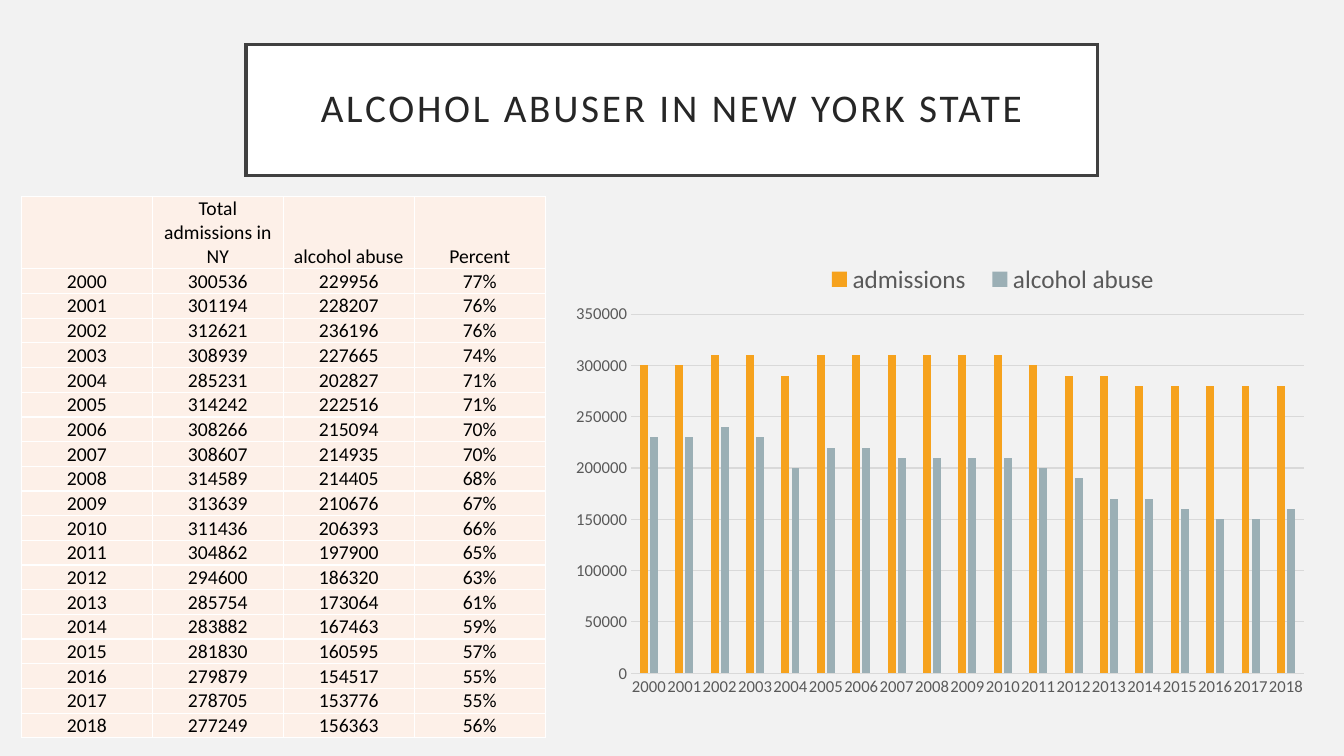
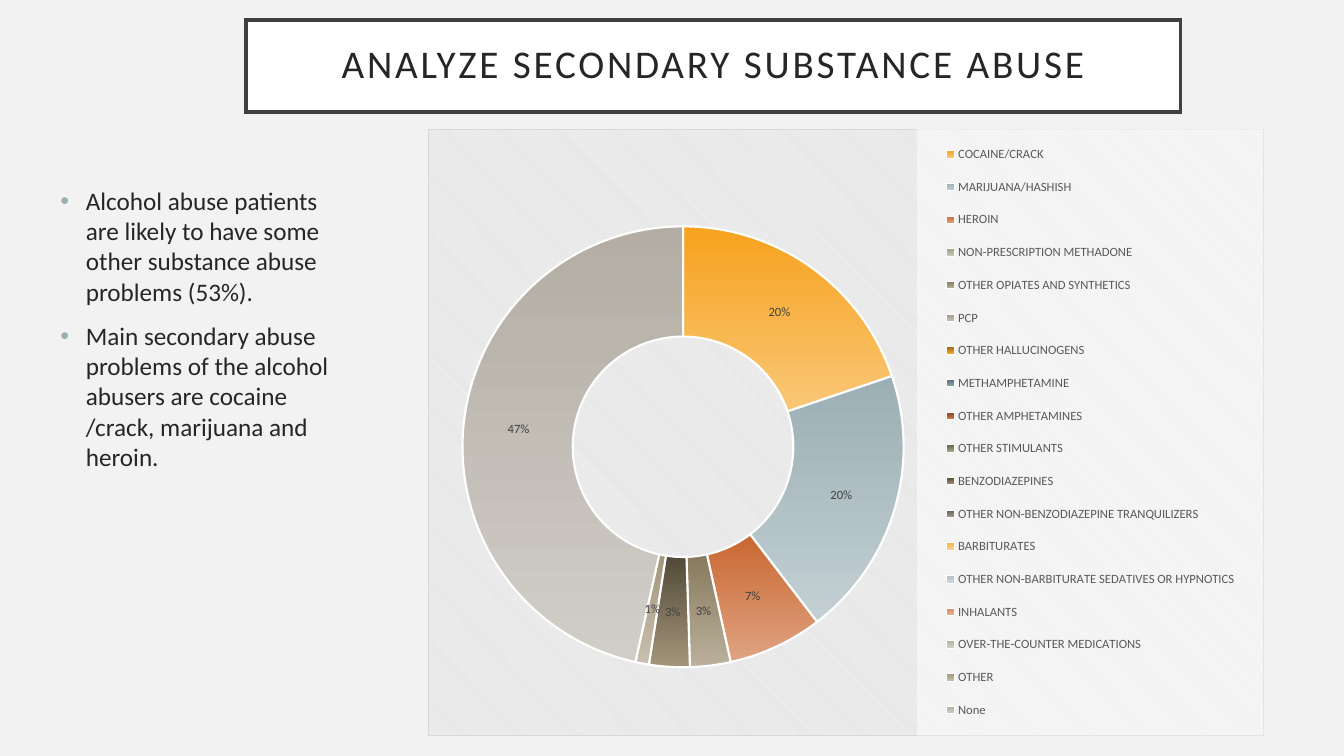
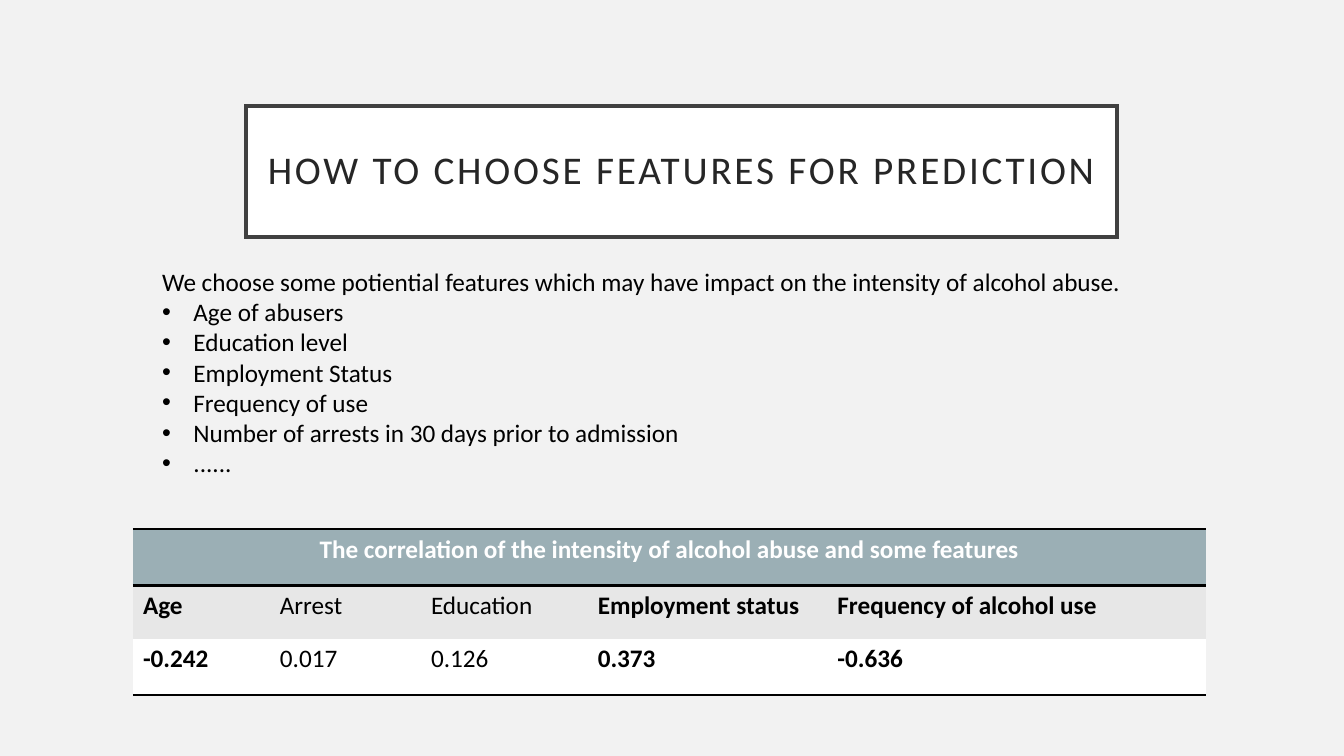
from lxml.etree import SubElement
from pptx import Presentation
from pptx.chart.data import CategoryChartData
from pptx.dml.color import RGBColor
from pptx.enum.chart import XL_CHART_TYPE, XL_LEGEND_POSITION, XL_TICK_MARK
from pptx.enum.text import MSO_ANCHOR, MSO_AUTO_SIZE, PP_ALIGN
from pptx.oxml import parse_xml
from pptx.oxml.ns import nsdecls, qn
from pptx.util import Cm, Pt

FONT = "Calibri"
INK = {
    "page": "F2F2F2", "white": "FFFFFF", "black": "000000", "frame": "404040",
    "text": "262626", "chart": "595959", "rule": "D9D9D9", "peach": "FDF0E8",
    "amber": "F6A21D", "steel": "9BAFB5", "band": "E7E7E7", "pale": "E6E6E6",
}
PLAIN = "{2D5ABB26-0587-4C30-8999-92F81FD0307C}"

COUNTS = {
    2000: (300536, 229956), 2001: (301194, 228207), 2002: (312621, 236196),
    2003: (308939, 227665), 2004: (285231, 202827), 2005: (314242, 222516),
    2006: (308266, 215094), 2007: (308607, 214935), 2008: (314589, 214405),
    2009: (313639, 210676), 2010: (311436, 206393), 2011: (304862, 197900),
    2012: (294600, 186320), 2013: (285754, 173064), 2014: (283882, 167463),
    2015: (281830, 160595), 2016: (279879, 154517), 2017: (278705, 153776),
    2018: (277249, 156363),
}
# Substance, share in percent, first and last colour of the slice
DRUGS = [
    ("COCAINE/CRACK", 20, "F6A21D", "FAC777"),
    ("MARIJUANA/HASHISH", 20, "9BAFB5", "C3CFD3"),
    ("HEROIN", 7, "C96731", "E0A382"),
    ("NON-PRESCRIPTION METHADONE", 0, "9CA383", "C4C8B5"),
    ("OTHER OPIATES AND SYNTHETICS", 3, "87795D", "BAB09B"),
    ("PCP", 0, "A0988C", "C6C1BA"),
    ("OTHER HALLUCINOGENS", 0, "9F6406", "F7AD38"),
    ("METHAMPHETAMINE", 0, "566D74", "95AAB0"),
    ("OTHER AMPHETAMINES", 0, "793E1D", "D58051"),
    ("OTHER STIMULANTS", 0, "60654B", "A3AA8C"),
    ("BENZODIAZEPINES", 3, "514938", "A4967A"),
    ("OTHER NON-BENZODIAZEPINE TRANQUILIZERS", 0, "635C51", "A59E93"),
    ("BARBITURATES", 0, "F8B54A", "FBD293"),
    ("OTHER NON-BARBITURATE SEDATIVES OR HYPNOTICS", 0, "AFBFC4", "CFD9DB"),
    ("INHALANTS", 0, "D68558", "E7B69B"),
    ("OVER-THE-COUNTER MEDICATIONS", 0, "B0B59C", "CFD3C3"),
    ("OTHER", 1, "A39579", "C8BFAF"),
    ("None", 47, "B3ADA3", "D1CEC8"),
]


def tint(name):
    """Return the colour for a name in INK or for a hex string."""
    return RGBColor.from_string(INK.get(name, name))


def put(obj, vals):
    """Set each attribute of obj from a dict."""
    for key, val in vals.items():
        setattr(obj, key, val)


def place(obj, box):
    """Move and size a shape, in centimetres."""
    put(obj, dict(zip(("left", "top", "width", "height"), map(Cm, box))))


def type_in(font, size, color, bold=False):
    """Format a font."""
    put(font, {"name": FONT, "size": Pt(size), "bold": bold})
    font.color.rgb = tint(color)


def paint(fill, color):
    """Give a solid fill."""
    fill.solid()
    fill.fore_color.rgb = tint(color)


def draw(line, color, width):
    """Give a solid line."""
    paint(line.fill, color)
    line.width = Pt(width)


def edge(cell, sides, color, width):
    """Draw cell borders on the sides named by L, R, T and B."""
    props = cell._tc.get_or_add_tcPr()
    for side in sides:
        line = SubElement(props, qn("a:ln" + side), w=str(Pt(width)))
        fill = SubElement(line, qn("a:solidFill"))
        SubElement(fill, qn("a:srgbClr"), val=INK[color])


def bullet(para, indent, color):
    """Give a paragraph a hanging bullet, or none when indent is 0."""
    props = para._p.get_or_add_pPr()
    props.set("marL", str(Cm(indent)))
    props.set("indent", str(-Cm(indent)))
    if not indent:
        SubElement(props, qn("a:buNone"))
        return
    shade = SubElement(props, qn("a:buClr"))
    SubElement(shade, qn("a:srgbClr"), val=INK[color])
    SubElement(props, qn("a:buFont"), typeface="Arial")
    SubElement(props, qn("a:buChar"), char="\u2022")


def layout(part, spot, index, inner=False):
    """Fix the place of a chart part as shares of the chart."""
    for old in part.findall(qn("c:layout")):
        part.remove(old)
    rules = [("layoutTarget", "inner")] if inner else []
    rules += [("xMode", "edge"), ("yMode", "edge"), *zip("xywh", spot)]
    body = "".join(f'<c:{tag} val="{val}"/>' for tag, val in rules)
    part.insert(index, parse_xml(
        f'<c:layout {nsdecls("c")}><c:manualLayout>{body}'
        "</c:manualLayout></c:layout>"))


class Deck:
    """The shared style and the current slide."""

    def __init__(self):
        """Start a wide deck with a grey page."""
        self.prs = Presentation()
        put(self.prs, {"slide_width": Cm(33.87), "slide_height": Cm(19.05)})
        paint(self.prs.slide_master.background.fill, "page")
        self.slide = None

    def add(self, kind, text, box):
        """Add a slide with a framed title."""
        self.slide = self.prs.slides.add_slide(
            self.prs.slide_layouts.get_by_name(kind))
        title = self.slide.shapes.title
        place(title, box)
        paint(title.fill, "white")
        draw(title.line, "frame", 2.5)
        SubElement(title.element.find(".//" + qn("a:ln")), qn("a:miter"),
                   lim="800000")
        frame = title.text_frame
        put(frame, {"auto_size": MSO_AUTO_SIZE.NONE, "word_wrap": True,
                    "vertical_anchor": MSO_ANCHOR.MIDDLE})
        put(frame, dict.fromkeys(("margin_left", "margin_right", "margin_top",
                                  "margin_bottom"), Cm(0.51)))
        para = frame.paragraphs[0]
        put(para, {"alignment": PP_ALIGN.CENTER, "line_spacing": 0.9})
        run = para.add_run()
        run.text = text
        type_in(run.font, 28, "text")
        run.font._element.set("spc", "200")

    def bullets(self, items, box, indent, ink, dot, gap=0, lead=0):
        """Fill the body with a list; the first lead items have no bullet."""
        body = self.slide.placeholders[1]
        place(body, box)
        frame = body.text_frame
        put(frame, {"auto_size": MSO_AUTO_SIZE.NONE, "word_wrap": True,
                    "vertical_anchor": MSO_ANCHOR.TOP})
        for num, item in enumerate(items):
            para = frame.add_paragraph() if num else frame.paragraphs[0]
            put(para, {"space_before": Pt(gap), "line_spacing": 1.0})
            run = para.add_run()
            run.text = item
            type_in(run.font, 18, ink)
            bullet(para, 0 if num < lead else indent, dot)

    def grid(self, spot, cols, rows):
        """Add a plain table with the given widths and heights."""
        shape = self.slide.shapes.add_table(
            len(rows), len(cols), *map(Cm, spot), Cm(sum(cols)), Cm(sum(rows)))
        for style in shape.element.iter(qn("a:tableStyleId")):
            style.text = PLAIN
        for col, width in zip(shape.table.columns, cols):
            col.width = Cm(width)
        for row, height in zip(shape.table.rows, rows):
            row.height = Cm(height)
        return shape.table

    def cell(self, cell, text, fill, size, ink="black", bold=False,
             align=PP_ALIGN.LEFT):
        """Fill and write one table cell."""
        paint(cell.fill, fill)
        para = cell.text_frame.paragraphs[0]
        para.alignment = align
        if text:
            run = para.add_run()
            run.text = text
            type_in(run.font, size, ink, bold)

    def chart(self, kind, cats, series, box, spot):
        """Add a chart with a fixed plot area."""
        data = CategoryChartData()
        data.categories = cats
        for name, vals in series.items():
            data.add_series(name, vals)
        chart = self.slide.shapes.add_chart(kind, *map(Cm, box), data).chart
        chart.has_title = False
        type_in(chart.font, 10, "black")
        layout(chart.element.find(".//" + qn("c:plotArea")), spot, 0, True)
        return chart

    def legend(self, chart, side, size, spot):
        """Add a legend at a fixed place."""
        chart.has_legend = True
        put(chart.legend, {"position": side, "include_in_layout": False})
        type_in(chart.legend.font, size, "chart")
        part = chart.element.find(".//" + qn("c:legend"))
        layout(part, spot, 1)
        return part


def trend(deck):
    """Build the slide with yearly counts."""
    deck.add("Title Only", "ALCOHOL ABUSER IN NEW YORK STATE",
             (6.2, 1.12, 21.46, 3.3))
    rows = [("", "Total admissions in NY", "alcohol abuse", "Percent")]
    rows += [(str(year), str(total), str(abuse), f"{abuse / total:.0%}")
             for year, (total, abuse) in COUNTS.items()]
    table = deck.grid((0.54, 4.95), [3.3] * 4, [1.66] + [0.62] * len(COUNTS))
    for y, row in enumerate(rows):
        for x, text in enumerate(row):
            cell = table.cell(y, x)
            edge(cell, "LRTB", "white", 1)
            put(cell, {"margin_left": Cm(0.02), "margin_right": Cm(0.02),
                       "margin_top": Cm(0.02), "margin_bottom": 0,
                       "vertical_anchor": MSO_ANCHOR.BOTTOM})
            deck.cell(cell, text, "peach", 14, align=PP_ALIGN.CENTER)

    totals, abuses = ([round(count, -4) for count in counts]
                      for counts in zip(*COUNTS.values()))
    chart = deck.chart(
        XL_CHART_TYPE.COLUMN_CLUSTERED, [str(year) for year in COUNTS],
        {"admissions": totals, "alcohol abuse": abuses},
        (14.1, 5.73, 18.83, 11.89), (0.096, 0.184, 0.9, 0.761))
    deck.legend(chart, XL_LEGEND_POSITION.BOTTOM, 18, (0.34, 0.07, 0.48, 0.08))
    plot = chart.plots[0]
    put(plot, {"gap_width": 219, "overlap": -27, "vary_by_categories": False})
    for bars, color in zip(plot.series, ("amber", "steel")):
        paint(bars.format.fill, color)
    years, scale = chart.category_axis, chart.value_axis
    for axis in (years, scale):
        put(axis, {"major_tick_mark": XL_TICK_MARK.NONE,
                   "minor_tick_mark": XL_TICK_MARK.NONE})
        type_in(axis.tick_labels.font, 11.9, "chart")
    for body in years._element.iter(qn("a:bodyPr")):
        body.set("rot", "-60000000")
    draw(years.format.line, "rule", 0.75)
    put(scale, {"minimum_scale": 0, "maximum_scale": 350000,
                "major_unit": 50000})
    scale.format.line.fill.background()
    draw(scale.major_gridlines.format.line, "rule", 0.75)


def second(deck):
    """Build the slide with the ring of other substances."""
    deck.add("Title and Content", "ANALYZE SECONDARY SUBSTANCE ABUSE",
             (6.2, 0.51, 23.55, 2.31))
    deck.bullets(
        ["Alcohol abuse patients are likely to have some other substance "
         "abuse problems (53%).",
         "Main secondary abuse problems of the alcohol abusers are cocaine "
         "/crack, marijuana and heroin."],
        (1.27, 4.54, 7.57, 9.98), 0.64, "text", "steel", gap=10)
    names, shares, starts, ends = zip(*DRUGS)
    chart = deck.chart(XL_CHART_TYPE.DOUGHNUT, names, {"Series 1": shares},
                       (10.78, 3.24, 21.08, 15.31),
                       (0.041, 0.132, 0.528, 0.784))
    part = deck.legend(chart, XL_LEGEND_POSITION.RIGHT, 9,
                       (0.585, 0, 0.415, 1))
    part.find(qn("c:overlay")).addnext(parse_xml(
        f'<c:spPr {nsdecls("c", "a")}><a:solidFill>'
        f'<a:srgbClr val="{INK["white"]}"><a:alpha val="50000"/></a:srgbClr>'
        "</a:solidFill></c:spPr>"))
    chart.element.find(qn("c:chart")).addnext(parse_xml(
        f'<c:spPr {nsdecls("c", "a")}><a:pattFill prst="dkDnDiag">'
        f'<a:fgClr><a:srgbClr val="{INK["white"]}"/></a:fgClr>'
        f'<a:bgClr><a:srgbClr val="{INK["pale"]}"/></a:bgClr></a:pattFill>'
        f'<a:ln w="{Pt(0.75)}"><a:solidFill><a:srgbClr val="{INK["rule"]}"/>'
        "</a:solidFill></a:ln></c:spPr>"))
    plot = chart.plots[0]
    put(plot, {"vary_by_categories": True, "has_data_labels": True})
    put(plot.data_labels, {
        "show_percentage": True, "show_value": False,
        "number_format": "0%;;", "number_format_is_linked": False})
    type_in(plot.data_labels.font, 9, "frame")
    chart.element.find(".//" + qn("c:holeSize")).set("val", "70")
    for num, pair in enumerate(zip(starts, ends)):
        form = plot.series[0].points[num].format
        form.fill.gradient()
        form.fill.gradient_angle = 270
        for stop, color in zip(form.fill.gradient_stops, pair):
            stop.color.rgb = tint(color)
        draw(form.line, "white", 1.5)


def choose(deck):
    """Build the slide with the features and their correlation."""
    deck.add("Title and Content", "HOW TO CHOOSE FEATURES FOR PREDICTION",
             (6.2, 2.67, 21.95, 3.3))
    deck.bullets(
        ["We choose some potiential features which may have impact on the "
         "intensity of alcohol abuse.",
         "Age of abusers", "Education level", "Employment Status",
         "Frequency of use", "Number of arrests in 30 days prior to admission",
         "......"],
        (3.83, 6.58, 26.7, 6.4), 0.79, "black", "black", lead=1)
    facts = {"Age": "-0.242", "Arrest": "0.017", "Education": "0.126",
             "Employment status": "0.373", "Frequency of alcohol use": "-0.636"}
    strong = {"Age", "Employment status", "Frequency of alcohol use"}
    table = deck.grid((3.35, 13.33), [3.45, 3.81, 4.2, 6.04, 9.54],
                      [1.42, 1.35, 1.41])
    head = table.cell(0, 0)
    head.merge(table.cell(0, len(facts) - 1))
    for x, (name, value) in enumerate(facts.items()):
        edge(table.cell(0, x), "TB", "black", 2)
        edge(table.cell(2, x), "B", "black", 2)
        deck.cell(table.cell(1, x), name, "band", 18, bold=name in strong)
        deck.cell(table.cell(2, x), value, "white", 18, bold=name in strong)
    deck.cell(head, "The correlation of the intensity of alcohol abuse and "
              "some features", "steel", 18, "white", True, PP_ALIGN.CENTER)


deck = Deck()
for build in (trend, second, choose):
    build(deck)
deck.prs.save("out.pptx")
